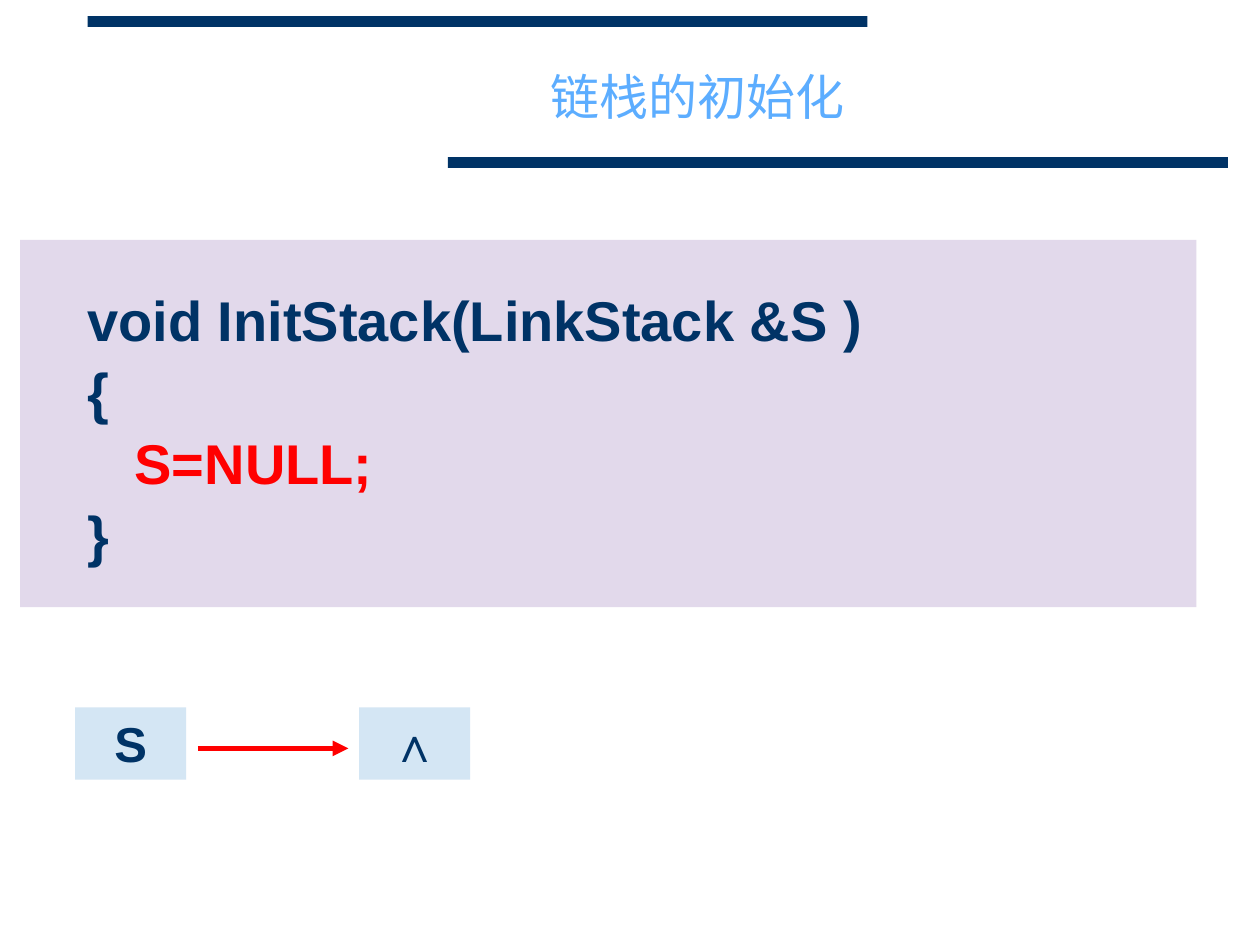
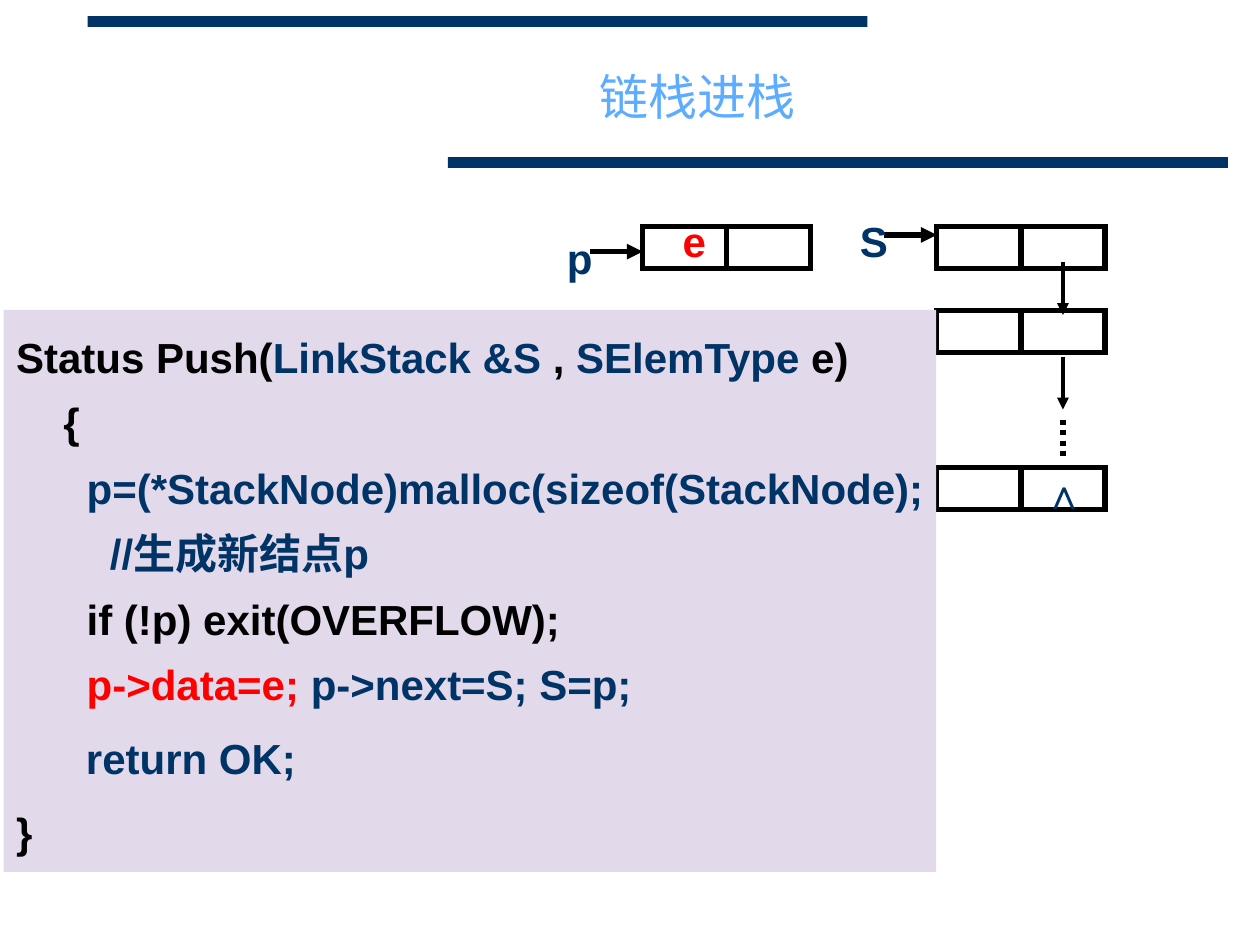
from lxml.etree import SubElement
from pptx import Presentation
from pptx.dml.color import RGBColor
from pptx.enum.dml import MSO_LINE
from pptx.enum.shapes import MSO_CONNECTOR, MSO_SHAPE
from pptx.enum.text import MSO_ANCHOR, PP_ALIGN
from pptx.oxml import parse_xml
from pptx.oxml.ns import nsdecls, qn
from pptx.util import Inches, Pt

COLOURS = {
    "navy": "003366",
    "sky": "5CADFF",
    "lilac": "E2D9EB",
    "ice": "D4E6F4",
    "red": "FF0000",
    "black": "000000",
    "white": "FFFFFF",
}
RGB = {name: RGBColor.from_string(code) for name, code in COLOURS.items()}
FONT = "Arial"

deck = Presentation()
deck.slide_width, deck.slide_height = Inches(10), Inches(7.5)
UNIT = deck.slide_width // 100


def put(slide, place, paragraphs=(), shape=None, fill=None, line=None, size=24, bold=True,
        align=PP_ALIGN.CENTER, anchor=MSO_ANCHOR.TOP, spacing=None, gap=0, hang=0):
    left, top, width, height = [round(n * UNIT) for n in place]
    if shape is None and fill is None:
        shape = slide.shapes.add_textbox(left, top, width, height)
    elif shape is None:
        shape = slide.shapes.add_shape(MSO_SHAPE.RECTANGLE, left, top, width, height)
        shape.shadow.inherit = False
        shape.fill.solid()
        shape.fill.fore_color.rgb = RGB[fill]
        if line:
            shape.line.color.rgb = RGB[line]
            shape.line.width = Pt(3)
            SubElement(shape.line._get_or_add_ln(), qn("a:miter"), lim="800000")
        else:
            shape.line.fill.background()
    shape.left, shape.top, shape.width, shape.height = left, top, width, height
    frame = shape.text_frame
    frame.word_wrap = True
    frame.vertical_anchor = anchor
    if hang:
        frame.margin_right = 0
    for number, runs in enumerate(paragraphs):
        para = frame.add_paragraph() if number else frame.paragraphs[0]
        para.alignment = align
        para.line_spacing = spacing
        para.space_before = Pt(gap if number else 0)
        if hang:
            props = para._p.get_or_add_pPr()
            props.set("marL", str(round(hang * UNIT)))
            props.set("indent", str(0 if runs[0][0].startswith("S=") else -round(hang * UNIT)))
        for text, colour in runs:
            for row, piece in enumerate(text.split("\n")):
                if row:
                    para.add_line_break()
                if piece:
                    run = para.add_run()
                    run.text = piece
                    run.font.name, run.font.size, run.font.bold = FONT, Pt(size), bold
                    run.font.color.rgb = RGB[colour]
    return shape


def draw_line(slide, start, end, colour="black", weight=3, arrow=False, dash=None):
    ends = [round(n * UNIT) for n in (*start, *end)]
    link = slide.shapes.add_connector(MSO_CONNECTOR.STRAIGHT, *ends)
    link.line.color.rgb = RGB[colour]
    link.line.width = Pt(weight)
    if dash:
        link.line.dash_style = dash
    if arrow:
        SubElement(link.line._get_or_add_ln(), qn("a:tailEnd"), type="triangle")
    SubElement(link._element.spPr, qn("a:effectLst"))
    return link


layout = deck.slide_layouts[5]
slides = []
for heading in ("链栈的初始化", "链栈进栈"):
    slide = deck.slides.add_slide(layout)
    title = put(slide, (15, 2.6, 80.7, 10), [[(heading, "sky")]], shape=slide.shapes.title,
                size=28, bold=False, anchor=MSO_ANCHOR.MIDDLE)
    outline = parse_xml(f'<a:ln {nsdecls("a")} w="{Pt(1.75)}"><a:solidFill>'
                        f'<a:srgbClr val="{COLOURS["navy"]}"/></a:solidFill></a:ln>')
    title.text_frame.paragraphs[0].runs[0].font._element.insert(0, outline)
    slides.append(slide)
init_slide, push_slide = slides

for left, top in ((6.95, 1.28), (35.55, 12.47)):
    band = put(init_slide, (left, top, 61.9, 0.86), fill="navy")
    layout.shapes.element.append(band._element)

put(init_slide, (1.6, 19.05, 93.35, 29.15), fill="lilac")
init_code = [
    [("void InitStack(LinkStack &S )", "navy")],
    [("{", "navy")],
    [("S=NULL;", "red")],
    [("}", "navy")],
]
put(init_slide, (5.95, 22.75, 71.2, 25.5), init_code, size=32, align=PP_ALIGN.LEFT,
    spacing=0.9, gap=6.4, hang=3.75)
for column, symbol in enumerate("S∧"):
    put(init_slide, (5.97 + 22.53 * column, 56.15, 8.82, 5.74), [[(symbol, "navy")]],
        fill="ice", size=28)
draw_line(init_slide, (15.7, 59.4), (27.65, 59.4), "red", arrow=True)

NODE_WIDTH, NODE_HEIGHT = 13.35, 3.34
STACK_LEFT, NEW_LEFT, FIRST_ROW = 74.35, 51, 18
LINK_X = STACK_LEFT + NODE_WIDTH * 0.75
for left, top in ((NEW_LEFT, FIRST_ROW), (STACK_LEFT, FIRST_ROW),
                  (STACK_LEFT, 24.63), (STACK_LEFT, 37.13)):
    node = put(push_slide, (left, top, NODE_WIDTH, NODE_HEIGHT), fill="white", line="black")
    middle = left + NODE_WIDTH / 2
    divider = draw_line(push_slide, (middle, top), (middle, top + NODE_HEIGHT))
    divider.begin_connect(node, 0)
    divider.end_connect(node, 2)

for left, top, tip in ((46.85, 19.97, NEW_LEFT), (70.2, 18.65, STACK_LEFT)):
    draw_line(push_slide, (left, top), (tip, top), arrow=True)
for top in (20.8, 28.3):
    draw_line(push_slide, (LINK_X, top), (LINK_X, top + 4.2), weight=2.25, arrow=True)
draw_line(push_slide, (LINK_X, 33.3), (LINK_X, 36.6), dash=MSO_LINE.ROUND_DOT)

for symbol, left, top, colour in (("p", 43.5, 18, "navy"), ("∧", 81.85, 36.6, "navy"),
                                  ("S", 66.85, 16.6, "navy"), ("e", 52.6, 16.6, "red")):
    put(push_slide, (left, top, 5, 5), [[(symbol, colour)]])

push_code = [
    [
        ("Status Push(", "black"),
        ("LinkStack &S ", "navy"),
        (", ", "black"),
        ("SElemType", "navy"),
        (" e)\n{\n  ", "black"),
        ("p=(*StackNode)malloc(sizeof(StackNode);\n    //生成新结点p\n", "navy"),
        ("  if (!p) exit(OVERFLOW);\n  ", "black"),
        ("p->data=e; ", "red"),
        ("p->next=S; S=p;", "navy"),
    ],
    [("      return OK;", "navy")],
    [("}", "black")],
]
put(push_slide, (0.3, 24.6, 74, 44.6), push_code, fill="lilac", align=PP_ALIGN.LEFT,
    spacing=1.3, gap=4.8, hang=3.75)

deck.save("out.pptx")
